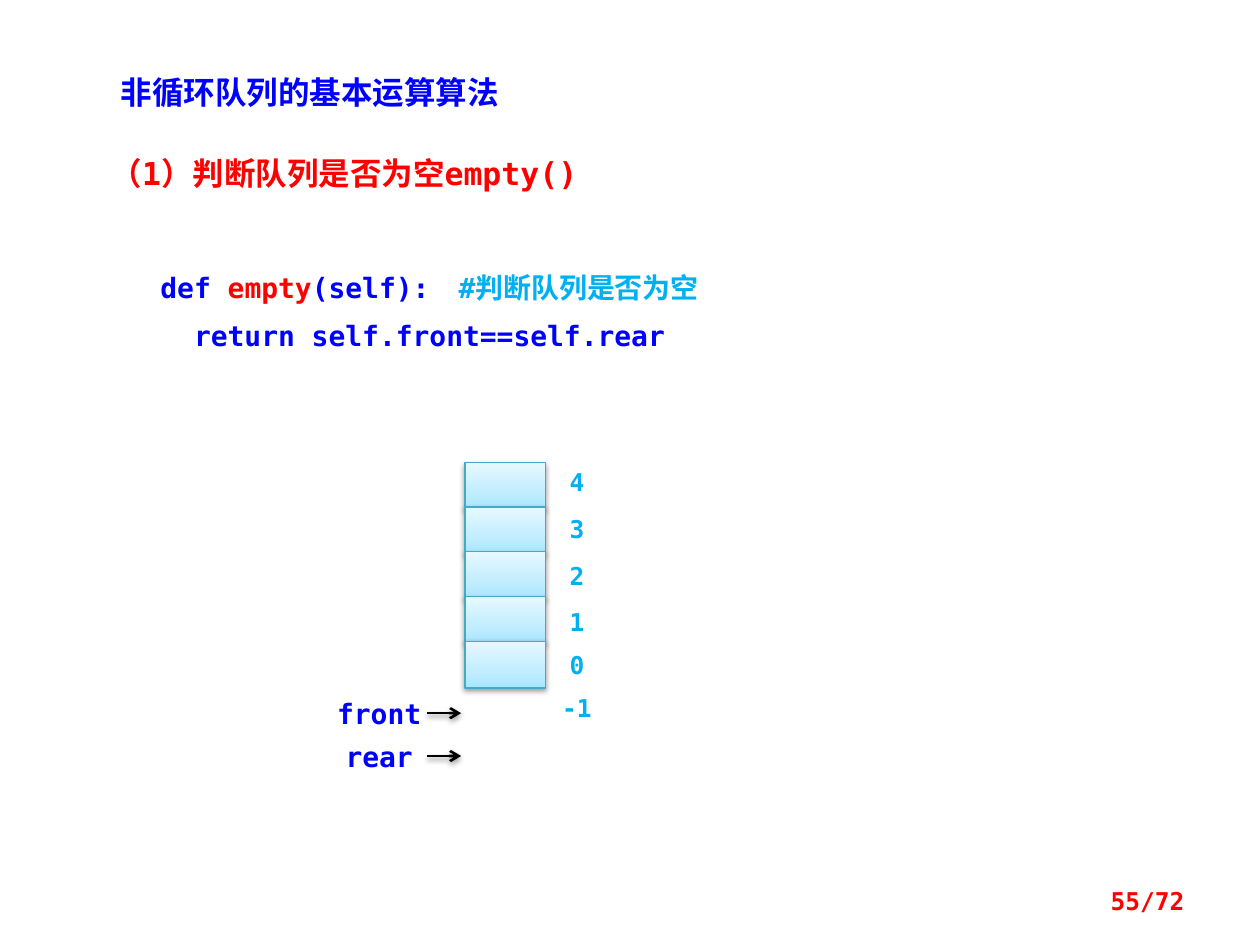
from lxml import etree
from copy import deepcopy
from pptx import Presentation
from pptx.dml.color import RGBColor
from pptx.enum.shapes import MSO_CONNECTOR, MSO_SHAPE
from pptx.enum.text import MSO_ANCHOR, MSO_AUTO_SIZE, PP_ALIGN
from pptx.oxml.ns import qn
from pptx.util import Inches, Pt

RECTANGLE = MSO_SHAPE.RECTANGLE
STRAIGHT = MSO_CONNECTOR.STRAIGHT
LEFT, CENTER, RIGHT = PP_ALIGN.LEFT, PP_ALIGN.CENTER, PP_ALIGN.RIGHT
TOP, MIDDLE = MSO_ANCHOR.TOP, MSO_ANCHOR.MIDDLE
NO_AUTOFIT = MSO_AUTO_SIZE.NONE
TITLE_ONLY = 5


def color(value):
    return RGBColor.from_string(value)


class QueueSlide:
    mono = "DejaVu Sans Mono"
    chinese = "Noto Sans CJK SC"
    blue, red, sky = "0000FF", "FF0000", "00B0F0"
    white, black, edge = "FFFFFF", "000000", "46AAC5"
    cell_stops = ((0, "A7E6FF"), (0.35, "C1EDFF"), (1, "E7F8FF"))

    def __init__(self, deck):
        self.page = deck.slides.add_slide(deck.slide_layouts[TITLE_ONLY])

    def set_spans(self, para, spans, size, align=LEFT, font=None):
        para.alignment = align
        para.font.name = font or self.mono
        para.font.size = Pt(size)
        para.font.bold = True
        if len(spans) == 1:
            para.font.color.rgb = color(spans[0][1])
        properties = para._p.pPr.find(qn("a:defRPr"))
        etree.SubElement(properties, qn("a:ea"), typeface=self.chinese)
        for text, tint in spans:
            span = para.add_run()
            span.text = text
            if len(spans) > 1:
                span.font.color.rgb = color(tint)

    def set_frame(self, box, margins, anchor=TOP):
        frame = box.text_frame
        frame.word_wrap = True
        frame.auto_size = NO_AUTOFIT
        frame.vertical_anchor = anchor
        (frame.margin_left, frame.margin_top,
         frame.margin_right, frame.margin_bottom) = map(Inches, margins)
        return frame

    def title(self, text, *place):
        box = self.page.shapes.title
        box.left, box.top, box.width, box.height = map(Inches, place)
        frame = self.set_frame(box, (0.1, 0.05, 0.1, 0.05))
        self.set_spans(frame.paragraphs[0], [(text, self.blue)], 18, font=self.chinese)

    def text(self, text, tint, size, *place, align=LEFT, anchor=TOP):
        box = self.page.shapes.add_textbox(*map(Inches, place))
        frame = self.set_frame(box, (0.1, 0.05, 0.1, 0.05), anchor)
        self.set_spans(frame.paragraphs[0], [(text, tint)], size, align)

    def panel(self, *place):
        box = self.page.shapes.add_shape(RECTANGLE, *map(Inches, place))
        box.shadow.inherit = False
        box.fill.solid()
        box.fill.fore_color.rgb = color(self.white)
        box.line.fill.background()
        return box

    def code(self, lines, *place):
        frame = self.set_frame(self.panel(*place), (0.2, 0.12, 0.1, 0.12))
        for index, spans in enumerate(lines):
            para = frame.add_paragraph() if index else frame.paragraphs[0]
            if index:
                para.space_before = Pt(8)
            self.set_spans(para, spans, 16)

    def label(self, text, tint, size, *place):
        frame = self.set_frame(self.panel(*place), (0, 0, 0, 0))
        self.set_spans(frame.paragraphs[0], [(text, tint)], size, CENTER)

    def add_shadow(self, item):
        effects = etree.SubElement(item._element.spPr, qn("a:effectLst"))
        shadow = etree.SubElement(
            effects, qn("a:outerShdw"), blurRad=str(Pt(3.1)), dist=str(Pt(1.6)),
            dir="5400000", rotWithShape="0")
        tint = etree.SubElement(shadow, qn("a:srgbClr"), val=self.black)
        etree.SubElement(tint, qn("a:alpha"), val="38000")

    def cell(self, *place):
        box = self.page.shapes.add_shape(RECTANGLE, *map(Inches, place))
        box.fill.gradient()
        box.fill.gradient_angle = 90
        stop_list = next(box._element.spPr.iter(qn("a:gsLst")))
        stop_list.append(deepcopy(stop_list[0]))
        for stop, (position, tint) in zip(box.fill.gradient_stops, self.cell_stops):
            stop.position = position
            stop.color.rgb = color(tint)
        box.line.color.rgb = color(self.edge)
        box.line.width = Pt(0.75)
        self.add_shadow(box)

    def arrow(self, *ends):
        line = self.page.shapes.add_connector(STRAIGHT, *map(Inches, ends))
        line.line.color.rgb = color(self.black)
        line.line.width = Pt(1.5)
        etree.SubElement(line._element.spPr.find(qn("a:ln")), qn("a:tailEnd"), type="arrow")
        self.add_shadow(line)


def main():
    deck = Presentation()
    deck.slide_width, deck.slide_height = Inches(10), Inches(7.5)
    slide = QueueSlide(deck)
    blue, red, sky = slide.blue, slide.red, slide.sky

    slide.title("非循环队列的基本运算算法", 0.86, 0.53, 4.06, 0.4)
    slide.text("（1）判断队列是否为空empty()", red, 18, 0.78, 1.17, 4.3, 0.4)
    slide.code([
        [(" def ", blue), ("empty", red), ("(self):\t", blue), ("#判断队列是否为空", sky)],
        [("   return self.front==self.rear", blue)],
    ], 0.94, 2.03, 6.72, 0.91)

    for row in range(5):
        slide.cell(3.69, 3.67 + 0.355 * row, 0.64, 0.37)
    index_tops = (3.71, 4.08, 4.45, 4.82, 5.16, 5.5)
    for index, top in zip(range(4, -2, -1), index_tops):
        slide.label(str(index), sky, 14, 4.43, top, 0.3, 0.27)

    for name, top in (("front", 5.53), ("rear", 5.87)):
        slide.label(name, blue, 16, 2.58, top, 0.86, 0.3)
        slide.arrow(3.39, top + 0.13, 3.66, top + 0.13)

    slide.text("55/72", red, 14, 7.17, 6.95, 2.33, 0.4, align=RIGHT, anchor=MIDDLE)
    deck.save("out.pptx")


if __name__ == "__main__":
    main()
